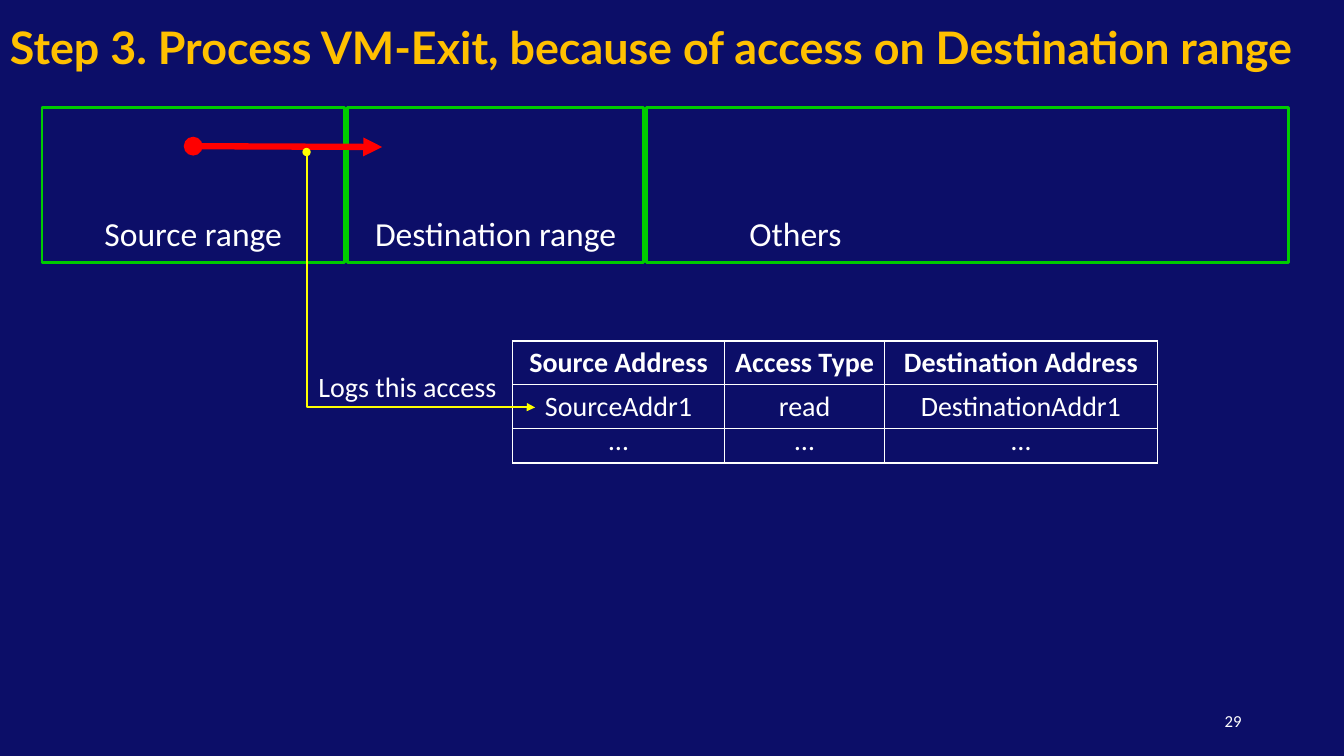
from dataclasses import dataclass

from lxml.etree import SubElement
from pptx import Presentation
from pptx.dml.color import RGBColor
from pptx.enum.shapes import MSO_CONNECTOR as LINK, MSO_SHAPE as SHAPE
from pptx.enum.text import MSO_ANCHOR as ANCHOR, PP_ALIGN as ALIGN
from pptx.oxml.ns import qn
from pptx.util import Inches, Pt

COLS, ROWS = 160, 90  # fine square grid over the slide


@dataclass(frozen=True)
class Theme:
    back: str = "0C0E68"
    title: str = "FFC000"
    text: str = "FFFFFF"
    box: str = "00CC00"
    access: str = "FF0000"
    log: str = "FFFF00"
    head_font: str = "Lato"
    body_font: str = "Calibri"
    title_size: int = 32
    range_size: int = 24
    body_size: int = 20
    number_size: int = 12


class Deck:
    def __init__(self, theme):
        self.theme = theme
        self.prs = Presentation()
        self.prs.slide_width, self.prs.slide_height = Inches(13.33), Inches(7.5)
        self.s = self.prs.slides.add_slide(self.prs.slide_layouts[6])
        self.paint(self.s.background.fill, theme.back)

    def x(self, cols):
        return round(self.prs.slide_width * cols / COLS)

    def y(self, rows):
        return round(self.prs.slide_height * rows / ROWS)

    def area(self, left, top, width, height):
        return self.x(left), self.y(top), self.x(width), self.y(height)

    def paint(self, fill, color):
        fill.solid()
        fill.fore_color.rgb = RGBColor.from_string(color)

    def set_text(self, tf, text, para=None, color=None, **font):
        p = tf.paragraphs[0]
        for name, value in (para or {}).items():
            setattr(p, name, value)
        r = p.add_run()
        r.text = text
        style = {"name": self.theme.body_font, "size": self.theme.body_size, "bold": False} | font
        style["size"] = Pt(style["size"])
        for name, value in style.items():
            setattr(r.font, name, value)
        r.font.color.rgb = RGBColor.from_string(color or self.theme.text)

    def text(self, at, text, align=ALIGN.CENTER, anchor=ANCHOR.TOP, **font):
        tf = self.s.shapes.add_textbox(*self.area(*at)).text_frame
        tf.word_wrap = True
        tf.vertical_anchor = anchor
        self.set_text(tf, text, {"alignment": align}, **font)

    def box(self, at, color, width):
        sp = self.s.shapes.add_shape(SHAPE.RECTANGLE, *self.area(*at))
        sp.shadow.inherit = False
        sp.fill.background()
        self.paint(sp.line.fill, color)
        sp.line.width = Pt(width)

    def arrow(self, start, end, color, width, elbow=False):
        x1, y1, x2, y2 = self.x(start[0]), self.y(start[1]), self.x(end[0]), self.y(end[1])
        if elbow:
            # A quarter turn about the centre makes the elbow leave downwards
            cx, cy = (x1 + x2) // 2, (y1 + y2) // 2
            dx, dy = (x2 - x1) // 2, (y2 - y1) // 2
            x1, y1, x2, y2 = cx + dy, cy - dx, cx - dy, cy + dx
        kind = LINK.ELBOW if elbow else LINK.STRAIGHT
        sp = self.s.shapes.add_connector(kind, x1, y1, x2, y2)
        self.paint(sp.line.fill, color)
        sp.line.width = Pt(width)
        props = sp._element.spPr
        if elbow:
            props.find(qn("a:xfrm")).set("rot", str(270 * 60000))
            guides = props.find(qn("a:prstGeom")).get_or_add_avLst()
            SubElement(guides, qn("a:gd"), name="adj1", fmla="val 99900")
        ln = props.find(qn("a:ln"))
        SubElement(ln, qn("a:headEnd"), type="oval")
        SubElement(ln, qn("a:tailEnd"), type="triangle")
        SubElement(props, qn("a:effectLst"))

    def border(self, cell, color, width):
        props = cell._tc.get_or_add_tcPr()
        for side in ("lnL", "lnR", "lnT", "lnB"):
            ln = SubElement(props, qn(f"a:{side}"), w=str(Pt(width)))
            SubElement(SubElement(ln, qn("a:solidFill")), qn("a:srgbClr"), val=color)

    def table(self, left, top, widths, heights, rows):
        at = self.area(left, top, sum(widths), sum(heights))
        table = self.s.shapes.add_table(len(rows), len(widths), *at).table
        table.first_row = table.horz_banding = False
        for col, width in zip(table.columns, widths):
            col.width = self.x(width)
        for i, (row, height) in enumerate(zip(table.rows, heights)):
            row.height = self.y(height)
            for cell, text in zip(row.cells, rows[i]):
                self.border(cell, self.theme.text, 1)
                cell.fill.background()
                cell.vertical_anchor = ANCHOR.MIDDLE
                cell.margin_left = cell.margin_right = Inches(0.05)
                para = {"alignment": ALIGN.CENTER}
                if text == "…":
                    para["line_spacing"] = Pt(17)
                self.set_text(cell.text_frame, text, para, bold=i == 0)


def main():
    theme = Theme()
    deck = Deck(theme)

    # Title and slide number
    deck.text((0, 0.2, COLS, 10.6),
              "Step 3. Process VM-Exit, because of access on Destination range",
              ALIGN.LEFT, ANCHOR.MIDDLE, color=theme.title, name=theme.head_font,
              size=theme.title_size, bold=True)
    deck.text((113, 83.4, 36, 4.8), "29", ALIGN.RIGHT, ANCHOR.MIDDLE, size=theme.number_size)

    # Memory ranges side by side: name, box width, label width
    ranges = [("Source range", 36, 36), ("Destination range", 35.2, 35.2), ("Others", 76.4, 35.4)]
    left, gap = 5, 0.4
    for name, width, label in ranges:
        deck.box((left, 12.8, width, 18.5), theme.box, 2)
        deck.text((left, 24.8, label, 6), name, size=theme.range_size)
        left += width + gap

    # Access from source to destination
    deck.arrow((23, 17.4), (45.5, 17.5), theme.access, 4.5)

    # Access log
    deck.table(61, 40.6, (25.3, 19, 32.5), (5.2, 5.2, 4.1), [
        ("Source Address", "Access Type", "Destination Address"),
        ("SourceAddr1", "read", "DestinationAddr1"),
        ("…", "…", "…"),
    ])
    deck.arrow((36.5, 18.1), (63.7, 48.5), theme.log, 1.5, elbow=True)
    deck.text((36.5, 43.4, 24, 5.3), "Logs this access")

    deck.prs.save("out.pptx")


if __name__ == "__main__":
    main()
